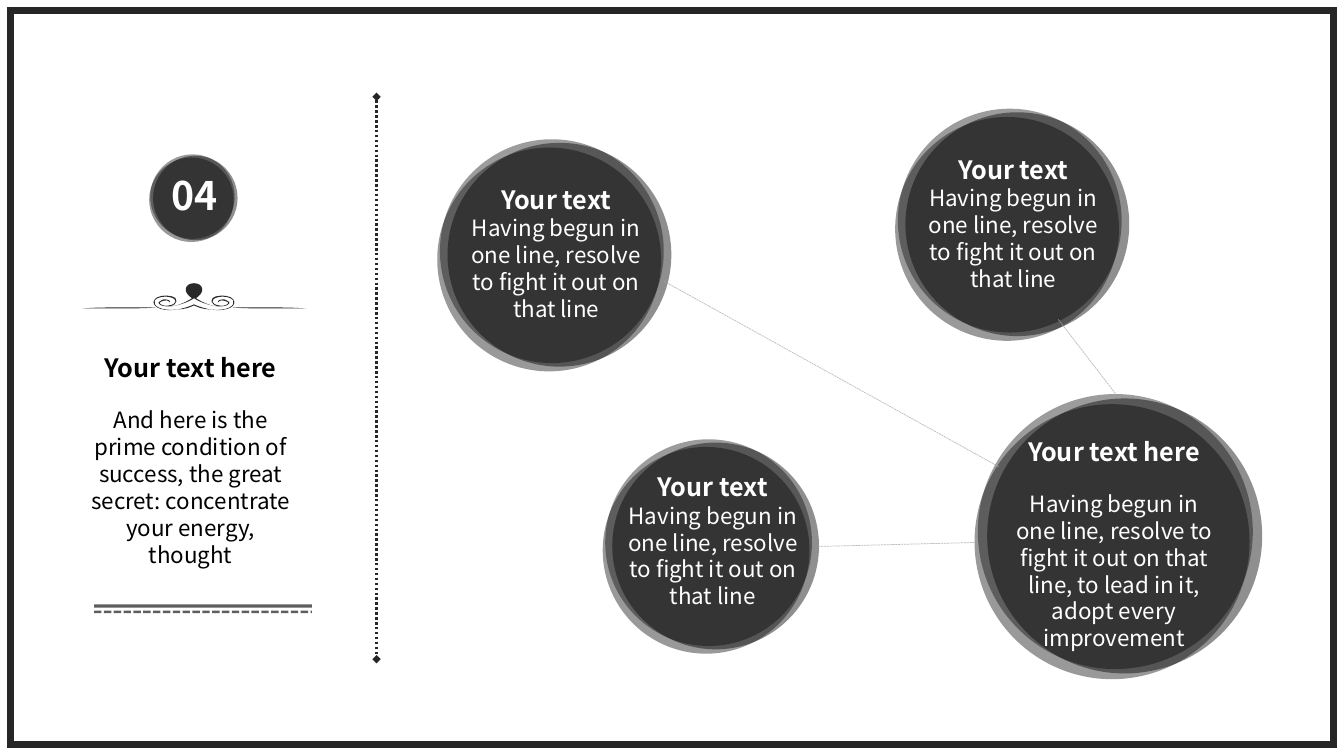
"""Build a slide of linked dark discs beside a numbered caption."""
from pptx import Presentation
from pptx.dml.color import RGBColor
from pptx.enum.dml import MSO_LINE
from pptx.enum.shapes import MSO_CONNECTOR, MSO_SHAPE
from pptx.enum.text import PP_ALIGN
from pptx.oxml.ns import qn
from pptx.util import Cm, Pt

FONT = "Noto Sans CJK SC"
BLACK, WHITE, FRAME, GREY, PALE = "000000", "FFFFFF", "262626", "404040", "AFABAB"
BEGUN = "Having begun in one line, resolve to fight it out on that line"
FRAME_BOX = (0.27, 0.27, 33.33, 18.5)

# left, top, diameter
DISCS = [
    (3.76, 3.89, 2.13),
    (11.02, 3.51, 5.64),
    (24.56, 9.93, 6.93),
    (22.56, 2.74, 5.64),
    (15.19, 11.07, 5.21),
]
# offset across and down in percent of the diameter, opacity
LAYERS = [(1.2, 0, 39), (4.6, 1.6, 44), (0, 3.7, 40)]

# box, colour, gap after the title, (text, size, bold)
TEXTS = [
    ((3.47, 4.19, 2.87, 1.45), WHITE, 0, [("04", 28, True)]),
    ((1.91, 8.76, 5.79, 5.82), BLACK, 16.8, [
        ("Your text here", 18, True),
        ("And here is the prime condition of success, the great secret: "
         "concentrate your energy, thought", 16, False)]),
    ((25.18, 10.87, 5.79, 5.05), WHITE, 16.8, [
        ("Your text here", 18, True),
        (BEGUN + ", to lead in it, adopt every improvement", 16, False)]),
] + [
    (box, WHITE, 0, [("Your text", 18, True), (BEGUN, 16, False)])
    for box in [(11.35, 4.52, 5.33, 3.76), (22.87, 3.76, 5.33, 3.76),
                (15.5, 11.76, 4.93, 3.76)]
]

# ends, colour, width, dash, opacity, arrowhead
LINES = [
    ((9.49, 2.44, 9.49, 16.61), FRAME, 1.75, MSO_LINE.ROUND_DOT, 100, "diamond"),
    ((2.37, 15.42, 7.86, 15.42), GREY, 1.75, MSO_LINE.SQUARE_DOT, 83, None),
    ((2.37, 15.27, 7.86, 15.27), GREY, 2.25, MSO_LINE.SOLID, 83, None),
] + [
    (ends, PALE, 0.5, MSO_LINE.SQUARE_DOT, 80, None)
    for ends in [(16.74, 7.09, 25.17, 11.76), (20.62, 13.77, 24.56, 13.67),
                 (26.67, 8.05, 28.12, 9.93)]
]
DASH_NAMES = {MSO_LINE.ROUND_DOT: "sysDot", MSO_LINE.SQUARE_DOT: "sysDash",
              MSO_LINE.SOLID: "solid"}

# right halves of the ornament: start point, then two handles and an end per curve
AXIS, BASE, UNIT = Cm(4.89), Cm(7.62), Cm(0.0254)
HEART = [
    (0, -19), (4, -19), (7.5, -17), (8, -14), (9, -10), (6, -7), (2, -4),
    (7, -1), (14, 3), (23, 4), (15, 3), (6, 0), (0, -4)]
SWIRL = [
    (0, 3), (4, 5), (10, 7), (16, 7), (36, 10), (43, 2), (39, -3),
    (37, -6), (29, -8), (22, -6), (15, -4), (16, 2), (24, 4),
    (28, 4), (33, 4), (35, 1), (36, 0), (33, -2), (30, -3),
    (26, -3), (23, -2), (24, 0), (24, 0), (25, -2), (27, -2),
    (31, -2), (35, 0), (34, 1), (32, 3), (28, 4), (25, 3),
    (17, 2), (16, -3), (23, -5), (29, -7), (37, -5), (39, -2),
    (41, 3), (34, 9), (16, 7), (11, 6), (4, 4), (0, 2)]
RULE = [
    (74, 6), (63, 6), (50, 6), (38, 5), (51, 5), (63, 5), (74, 5),
    (86, 5), (98, 5), (111, 6), (98, 6), (74, 6), (74, 6)]


def rgb(hex_text):
    return RGBColor.from_string(hex_text)


def set_opacity(element, percent):
    for color in element.iter(qn("a:srgbClr")):
        color.append(color.makeelement(qn("a:alpha"), {"val": str(percent * 1000)}))


def paint(sp, color, opacity):
    sp.shadow.inherit = False
    sp.fill.solid()
    sp.fill.fore_color.rgb = rgb(color)
    set_opacity(sp._element.spPr, opacity)
    sp.line.fill.background()


def add_frame(s):
    sp = s.shapes.add_shape(MSO_SHAPE.RECTANGLE, *map(Cm, FRAME_BOX))
    sp.shadow.inherit = False
    sp.fill.background()
    sp.line.color.rgb = rgb(FRAME)
    sp.line.width = Pt(5)
    ln = sp.line._get_or_add_ln()
    ln.append(ln.makeelement(qn("a:miter"), {"lim": "800000"}))


def add_disc(s, left, top, size):
    for dx, dy, opacity in LAYERS:
        box = left + dx * size / 100, top + dy * size / 100, size, size
        paint(s.shapes.add_shape(MSO_SHAPE.OVAL, *map(Cm, box)), BLACK, opacity)


def add_text(s, box, color, gap, lines):
    tf = s.shapes.add_textbox(*map(Cm, box)).text_frame
    tf.word_wrap = True
    for i, (text, size, bold) in enumerate(lines):
        p = tf.add_paragraph() if i else tf.paragraphs[0]
        p.text = text
        p.alignment = PP_ALIGN.CENTER
        p.font.name, p.font.size, p.font.bold = FONT, Pt(size), bold
        p.font.color.rgb = rgb(color)
        if i:
            p.space_before = Pt(gap)


def add_line(s, ends, color, width, dash, opacity, head):
    c = s.shapes.add_connector(MSO_CONNECTOR.STRAIGHT, *map(Cm, ends))
    c.line.color.rgb = rgb(color)
    c.line.width = Pt(width)
    c.line.dash_style = dash
    ln = c.line._get_or_add_ln()
    ln.find(qn("a:prstDash")).set("val", DASH_NAMES[dash])
    if opacity < 100:
        set_opacity(ln, opacity)
    if head:
        for tag in ("a:headEnd", "a:tailEnd"):
            ln.append(ln.makeelement(qn(tag), {"type": head}))
    ln.addnext(ln.makeelement(qn("a:effectLst")))


def add_curve(s, points):
    vertices = [(AXIS + x * UNIT, BASE + y * UNIT) for x, y in points]
    builder = s.shapes.build_freeform(*vertices[0])
    builder.add_line_segments(vertices[1:], close=True)
    sp = builder.convert_to_shape()
    segments = list(sp._element.iter(qn("a:lnTo")))
    for i in range(0, len(segments), 3):
        first, second, third = segments[i:i + 3]
        curve = first.makeelement(qn("a:cubicBezTo"))
        first.addprevious(curve)
        for segment in (first, second, third):
            curve.append(segment[0])
            segment.getparent().remove(segment)
    paint(sp, BLACK, 84)


def mirror(points):
    return [(-x, y) for x, y in reversed(points)]


def add_ornament(s):
    add_curve(s, HEART + mirror(HEART)[1:])
    add_curve(s, RULE)
    add_curve(s, mirror(RULE))
    add_curve(s, SWIRL + mirror(SWIRL)[1:])


def main():
    prs = Presentation()
    prs.slide_width, prs.slide_height = Cm(33.87), Cm(19.05)
    s = prs.slides.add_slide(prs.slide_layouts[6])
    add_frame(s)
    add_ornament(s)
    for disc in DISCS:
        add_disc(s, *disc)
    for text in TEXTS:
        add_text(s, *text)
    for line in LINES:
        add_line(s, *line)
    prs.save("out.pptx")


if __name__ == "__main__":
    main()
